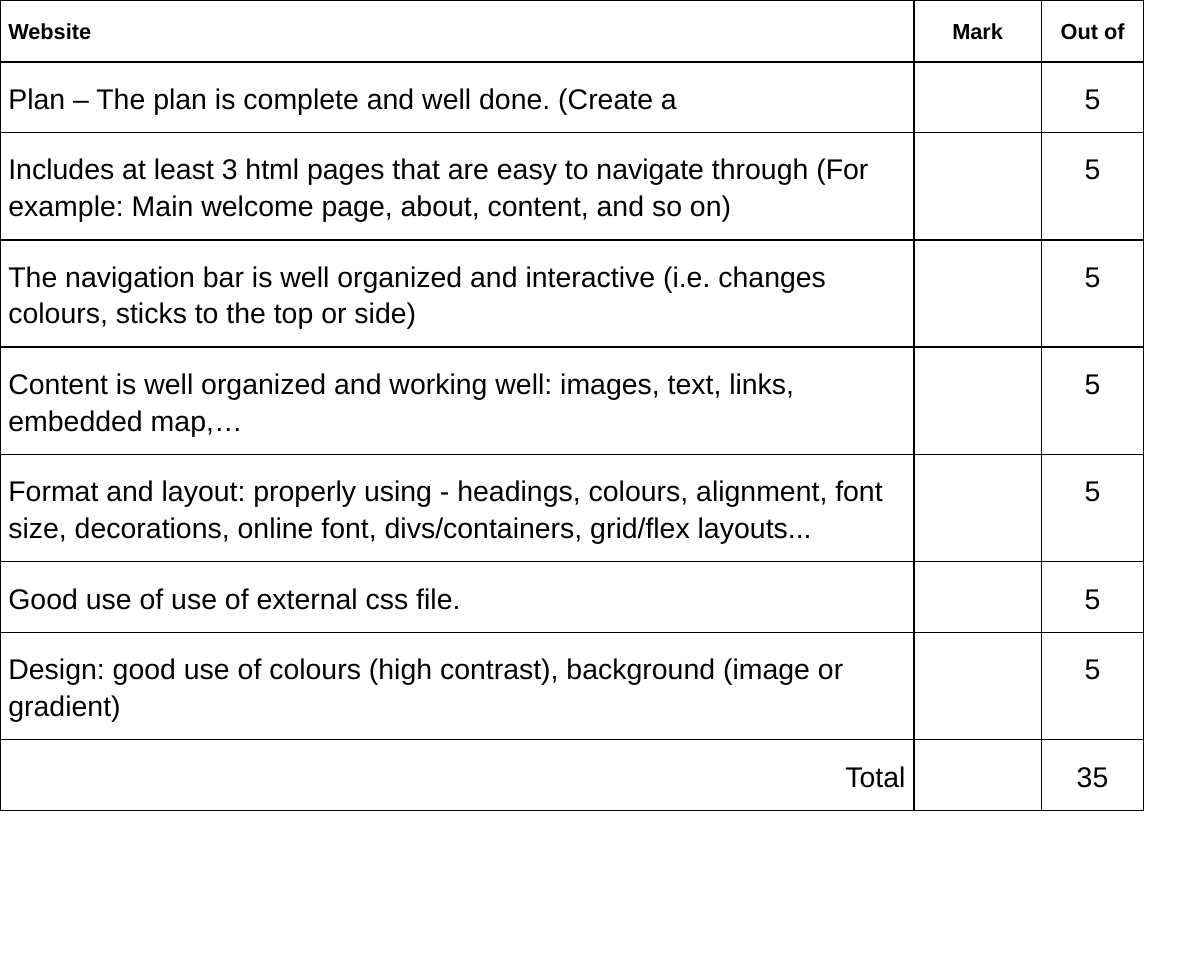
"""Build the website marking rubric slide."""
from dataclasses import dataclass

from lxml.etree import SubElement
from pptx import Presentation
from pptx.dml.color import RGBColor
from pptx.enum.text import MSO_ANCHOR as Anchor, PP_ALIGN as Align
from pptx.oxml.ns import qn
from pptx.util import Pt

HEADINGS = ("Website", "Mark", "Out of")
CRITERIA = (
    ("Plan – The plan is complete and well done. (Create a", 5, 1),
    ("Includes at least 3 html pages that are easy to navigate through "
     "(For example: Main welcome page, about, content, and so on)", 5, 2),
    ("The navigation bar is well organized and interactive "
     "(i.e. changes colours, sticks to the top or side)", 5, 2),
    ("Content is well organized and working well: images, text, links, "
     "embedded map,…", 5, 2),
    ("Format and layout: properly using - headings, colours, alignment, "
     "font size, decorations, online font, divs/containers, "
     "grid/flex layouts...", 5, 2),
    ("Good use of use of external css file.", 5, 1),
    ("Design: good use of colours (high contrast), background "
     "(image or gradient)", 5, 2),
)
TOTAL_LABEL = "Total"

SLIDE_WIDTH, SLIDE_HEIGHT = 720, 576
COLUMN_WIDTHS = (546.5, 76.3, 61.2)
HEADING_HEIGHT, LINE_HEIGHT, ROW_PADDING = 37, 21.9, 20.4
INSET_X, INSET_Y = 5, 10


@dataclass(frozen=True)
class Theme:
    """Colours, font and type sizes of the slide."""
    ink: str = "000000"
    font: str = "Arial"
    heading_size: int = 13
    body_size: int = 17
    space_before: int = 17
    line_spacing: float = 1.15
    border: float = 1


THEME = Theme()


def draw_borders(cell):
    """Give a cell a thin solid line on all four sides."""
    properties = cell._tc.get_or_add_tcPr()
    for side in ("a:lnL", "a:lnR", "a:lnT", "a:lnB"):
        line = SubElement(properties, qn(side), w=str(Pt(THEME.border)))
        fill = SubElement(line, qn("a:solidFill"))
        SubElement(fill, qn("a:srgbClr"), val=THEME.ink)


def fill_cell(cell, wording, size, bold, alignment):
    """Format a cell and write its wording, if it has any."""
    draw_borders(cell)
    cell.fill.background()
    if not wording:
        return
    cell.margin_left = cell.margin_right = Pt(INSET_X)
    cell.margin_top = cell.margin_bottom = Pt(INSET_Y)
    cell.vertical_anchor = Anchor.TOP
    paragraph = cell.text_frame.paragraphs[0]
    paragraph.alignment = alignment
    paragraph.line_spacing = THEME.line_spacing
    paragraph.space_before = Pt(THEME.space_before)
    run = paragraph.add_run()
    run.text = wording
    run.font.name = THEME.font
    run.font.size = Pt(size)
    run.font.bold = bold
    run.font.color.rgb = RGBColor.from_string(THEME.ink)


def main():
    """Lay out the rubric and save the presentation."""
    deck = Presentation()
    deck.slide_width, deck.slide_height = Pt(SLIDE_WIDTH), Pt(SLIDE_HEIGHT)
    slide = deck.slides.add_slide(deck.slide_layouts[6])

    total = sum(points for _, points, _ in CRITERIA)
    entries = [HEADINGS]
    entries += [(criterion, "", str(points)) for criterion, points, _ in CRITERIA]
    entries.append((TOTAL_LABEL, "", str(total)))
    line_counts = [lines for _, _, lines in CRITERIA] + [1]
    heights = [HEADING_HEIGHT]
    heights += [ROW_PADDING + lines * LINE_HEIGHT for lines in line_counts]

    rubric = slide.shapes.add_table(
        len(entries), len(HEADINGS), 0, 0,
        Pt(sum(COLUMN_WIDTHS)), Pt(sum(heights))).table
    rubric.first_row = rubric.horz_banding = False
    for column, width in zip(rubric.columns, COLUMN_WIDTHS):
        column.width = Pt(width)

    last = len(entries) - 1
    for row, (entry, height) in enumerate(zip(entries, heights)):
        rubric.rows[row].height = Pt(height)
        is_heading = row == 0
        size = THEME.heading_size if is_heading else THEME.body_size
        label_alignment = Align.RIGHT if row == last else Align.LEFT
        for column, wording in enumerate(entry):
            alignment = Align.CENTER if column else label_alignment
            fill_cell(rubric.cell(row, column), wording, size, is_heading, alignment)

    deck.save("out.pptx")


if __name__ == "__main__":
    main()
